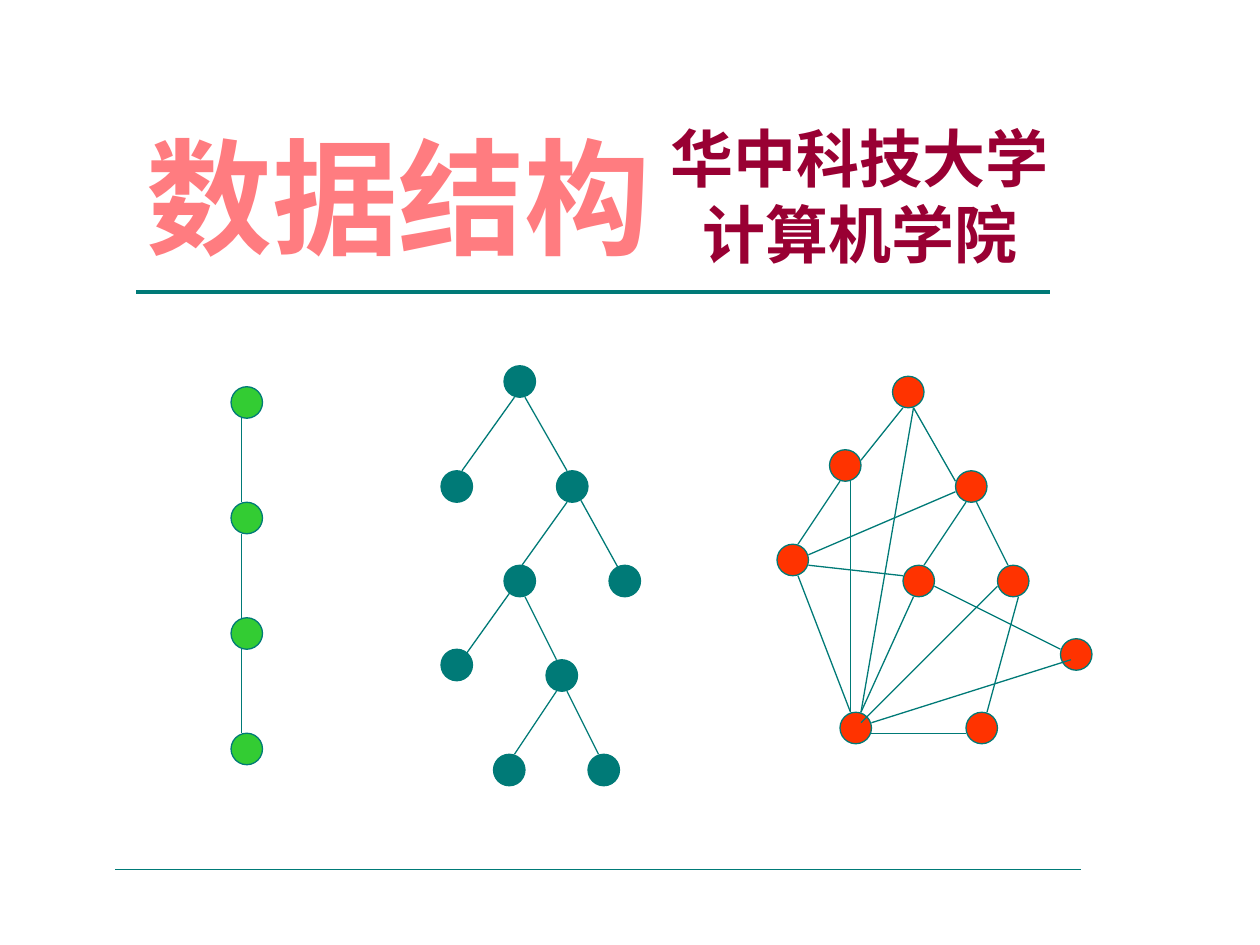
from pptx import Presentation
from pptx.dml.color import RGBColor
from pptx.enum import shapes, text
from pptx.oxml import ns
from pptx.util import Pt
from lxml import etree

COLORS = {
    "teal": "007A77",
    "red": "FF3300",
    "green": "33CC33",
    "pink": "FF7C80",
    "maroon": "990033",
}
NODE_SIZE = 18

TREE_NODES = [(288, 209), (252, 269), (318, 269), (288, 323), (348, 323),
              (252, 371), (312, 377), (282, 431), (336, 431)]
TREE_EDGES = [
    (294, 227, 264, 269), (300, 227, 324, 269),
    (324, 287, 294, 329), (332, 286, 353, 324),
    (294, 335, 264, 377), (300, 341, 318, 377),
    (318, 395, 294, 431), (324, 395, 342, 431),
]
GRAPH_NODES = [(510, 215), (474, 257), (546, 269), (444, 311), (516, 323),
               (570, 323), (606, 365), (480, 407), (552, 407)]
GRAPH_EDGES = [
    (516, 233, 492, 263), (522, 233, 546, 275), (522, 233, 492, 407),
    (480, 275, 456, 311), (486, 275, 486, 407),
    (552, 287, 528, 323), (558, 287, 576, 323),
    (462, 317, 546, 281), (462, 323, 516, 329), (456, 329, 486, 407),
    (522, 341, 492, 407), (534, 335, 606, 371),
    (570, 335, 492, 413), (582, 341, 564, 407),
    (498, 413, 612, 377), (498, 419, 552, 419),
]
LIST_X, LIST_TOP, LIST_STEP, LIST_COUNT = 132, 221, 66, 4
LIST_NODES = [(LIST_X, LIST_TOP + i * LIST_STEP) for i in range(LIST_COUNT)]
LIST_EDGES = [(x + 6, y + NODE_SIZE, x + 6, y + LIST_STEP)
              for x, y in LIST_NODES[:-1]]


class SlideBuilder:
    def __init__(self, slide):
        self.slide = slide
        self.line_color = "teal"

    def color(self, name):
        return RGBColor.from_string(COLORS[name])

    def node(self, x, y, fill):
        sp = self.slide.shapes.add_shape(
            shapes.MSO_SHAPE.OVAL, Pt(x), Pt(y), Pt(NODE_SIZE), Pt(NODE_SIZE))
        sp.shadow.inherit = False
        sp.fill.solid()
        sp.fill.fore_color.rgb = self.color(fill)
        sp.line.color.rgb = self.color(self.line_color)
        sp.line.width = Pt(0.75)

    def line(self, x1, y1, x2, y2, width=0.75):
        cn = self.slide.shapes.add_connector(
            shapes.MSO_CONNECTOR.STRAIGHT, Pt(x1), Pt(y1), Pt(x2), Pt(y2))
        cn.line.color.rgb = self.color(self.line_color)
        cn.line.width = Pt(width)
        etree.SubElement(cn._element.spPr, ns.qn("a:effectLst"))

    def diagram(self, nodes, edges, fill):
        for node in nodes:
            self.node(*node, fill)
        for edge in edges:
            self.line(*edge)

    def label(self, content, box, size, font, color, align):
        tf = self.slide.shapes.add_textbox(*map(Pt, box)).text_frame
        tf.word_wrap = False
        tf.text = content
        for p in tf.paragraphs:
            p.alignment = align
            for r in p.runs:
                r.font.size = Pt(size)
                r.font.bold = True
                r.font.name = font
                r.font.color.rgb = self.color(color)
                ea = etree.SubElement(r.font._element, ns.qn("a:ea"))
                ea.set("typeface", font)


def main():
    prs = Presentation()
    prs.slide_width, prs.slide_height = Pt(720), Pt(540)
    s = SlideBuilder(prs.slides.add_slide(prs.slide_layouts[6]))

    s.diagram(TREE_NODES, TREE_EDGES, "teal")
    s.diagram(GRAPH_NODES, GRAPH_EDGES, "red")
    s.diagram(LIST_NODES, LIST_EDGES, "green")

    s.label("数据结构", (76.5, 65, 302.4, 93.6), 72,
            "Noto Sans CJK JP", "pink", text.PP_ALIGN.LEFT)
    s.label("华中科技大学\n计算机学院", (376, 65, 230.4, 93.6), 36,
            "Noto Sans CJK SC", "maroon", text.PP_ALIGN.CENTER)
    s.line(78, 167, 600, 167, width=2.25)
    s.line(66, 497, 618, 497)

    prs.save("out.pptx")


if __name__ == "__main__":
    main()
